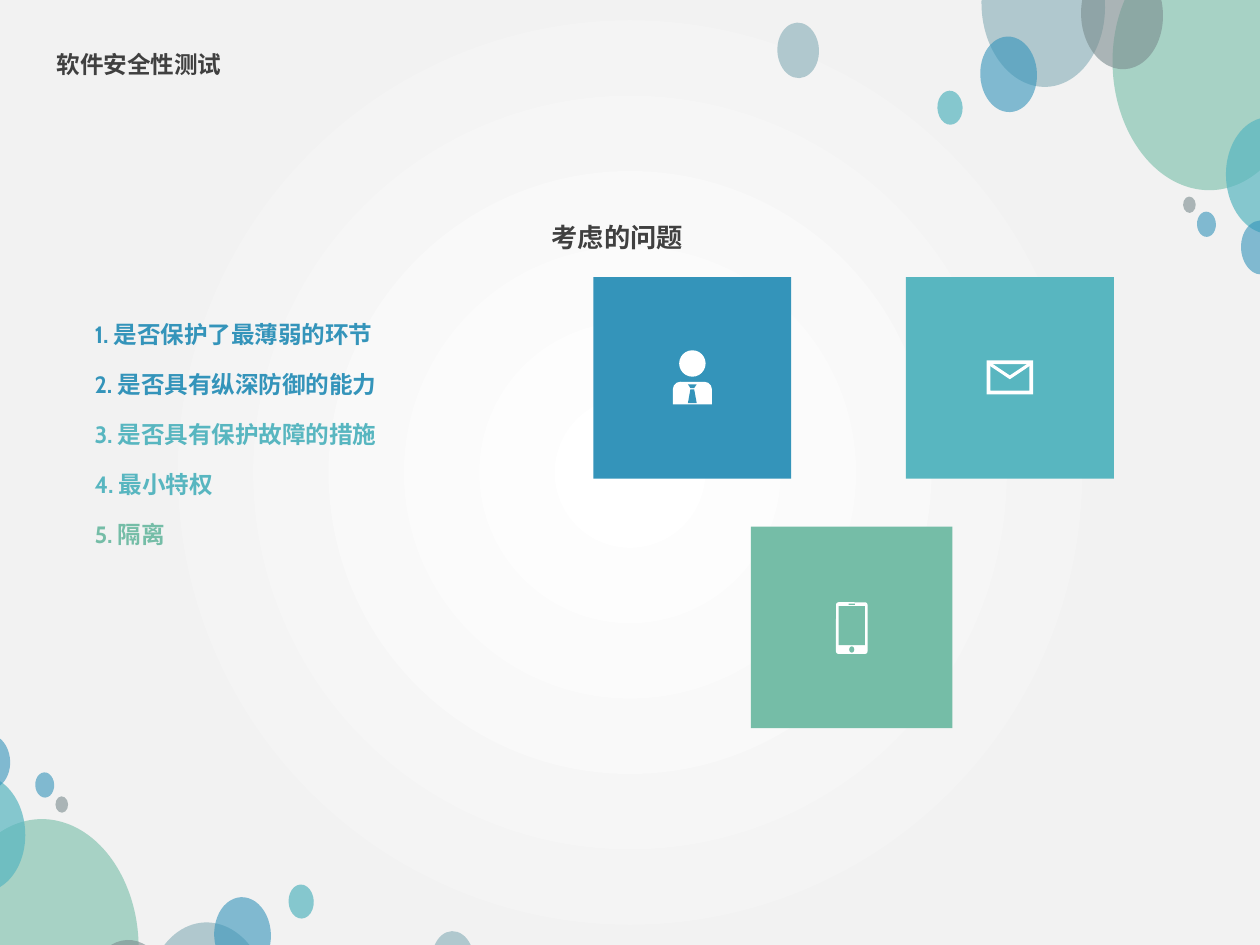
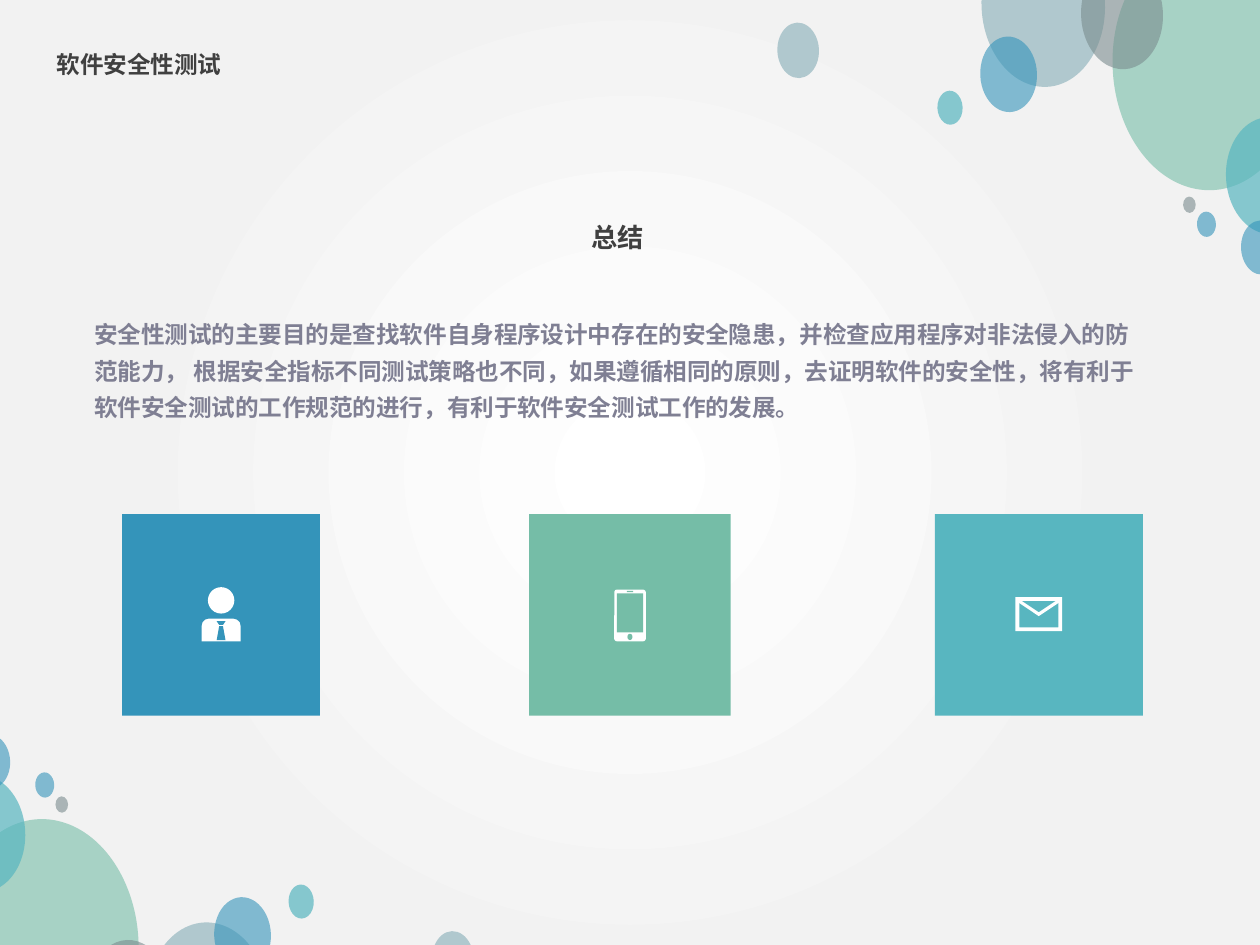
import pptx
import pptx.util
import pptx.dml.color
import pptx.enum.shapes
import pptx.enum.text
import pptx.oxml
import pptx.oxml.ns
import lxml.etree

Inches, Pt = pptx.util.Inches, pptx.util.Pt
MSO = pptx.enum.shapes.MSO_SHAPE
ALIGN = pptx.enum.text.PP_ALIGN
qn = pptx.oxml.ns.qn

COLORS = {
    "blue": "3494BA", "teal": "58B6C0", "green": "75BDA7",
    "mist": "84ACB6", "gray": "7A8C8E", "slate": "7F7F93",
    "text": "404040", "white": "FFFFFF", "paper": "F2F2F2",
}


def paint(sp, color):
    sp.shadow.inherit = False
    sp.fill.solid()
    sp.fill.fore_color.rgb = pptx.dml.color.RGBColor.from_string(COLORS[color])
    sp.line.fill.background()


def write(sp, box, lines, size, align=ALIGN.LEFT):
    """Place a text shape and fill it with (text, color) paragraphs."""
    sp.left, sp.top, sp.width, sp.height = [Inches(v) for v in box]
    tf = sp.text_frame
    tf.text = "\n".join(text for text, color in lines)
    tf.word_wrap = True
    tf.auto_size = pptx.enum.text.MSO_AUTO_SIZE.NONE
    tf.vertical_anchor = pptx.enum.text.MSO_ANCHOR.TOP
    tf.margin_left = tf.margin_right = Inches(0.09)
    tf.margin_top = tf.margin_bottom = Inches(0.05)
    for i, (p, (text, color)) in enumerate(zip(tf.paragraphs, lines)):
        pPr = p._p.get_or_add_pPr()
        pPr.set("marL", "0")
        pPr.set("indent", "0")
        lxml.etree.SubElement(pPr, qn("a:buNone"))
        p.alignment = align
        p.line_spacing = 1.3
        p.space_before = Pt(7.5 if i else 0)
        for r in p.runs:
            r.font.name = "Cabin"
            r.font.size = Pt(size)
            r.font.bold = True
            r.font.color.rgb = pptx.dml.color.RGBColor.from_string(COLORS[color])


prs = pptx.Presentation()
prs.slide_width, prs.slide_height = Inches(10), Inches(7.5)
master = prs.slide_master
layout = prs.slide_layouts[1]

# Shared background: radial gradient from the centre
fill = master.background.fill
fill.gradient()
grad = fill._fill._gradFill
for child in list(grad):
    grad.remove(child)
stops = lxml.etree.SubElement(grad, qn("a:gsLst"))
for pos, color in [(0, "white"), (67, "paper"), (100, "paper")]:
    gs = lxml.etree.SubElement(stops, qn("a:gs"), pos=str(pos * 1000))
    lxml.etree.SubElement(gs, qn("a:srgbClr"), val=COLORS[color])
radial = lxml.etree.SubElement(grad, qn("a:path"), path="circle")
lxml.etree.SubElement(radial, qn("a:fillToRect"), l="50000", t="50000", r="50000", b="50000")

# Bubbles of the top right corner: left, top, width, height, color, opacity
BUBBLES = [
    (7.79, -0.61, 0.98, 1.3, "mist", 60),
    (8.83, -0.49, 1.5, 2, "green", 60),
    (8.58, -0.32, 0.65, 0.87, "gray", 60),
    (7.78, 0.29, 0.45, 0.6, "blue", 60),
    (9.73, 0.93, 0.7, 0.93, "teal", 70),
    (7.44, 0.72, 0.2, 0.27, "teal", 70),
    (9.85, 1.75, 0.32, 0.43, "blue", 60),
    (9.5, 1.68, 0.15, 0.2, "blue", 60),
    (9.39, 1.56, 0.1, 0.13, "gray", 60),
    (6.17, 0.18, 0.33, 0.44, "mist", 60),
]
# Tiles: color and width
TILES = {"person": ("blue", 1.57), "mail": ("teal", 1.65), "phone": ("green", 1.6)}
TILE_H = 1.6

# Icon parts, measured from the tile centre: shape, box, color, corner
PRESETS = {
    "person": [
        (MSO.OVAL, (-0.105, -0.22, 0.21, 0.21), "white", None),
        (MSO.ROUND_2_SAME_RECTANGLE, (-0.155, 0.03, 0.31, 0.18), "white", 0.33),
    ],
    "mail": [],
    "phone": [
        (MSO.ROUNDED_RECTANGLE, (-0.125, -0.2, 0.25, 0.41), "white", 0.08),
        (MSO.RECTANGLE, (-0.105, -0.17, 0.21, 0.31), "green", None),
        (MSO.RECTANGLE, (-0.025, -0.19, 0.05, 0.01), "green", None),
        (MSO.OVAL, (-0.02, 0.15, 0.04, 0.05), "green", None),
    ],
}
# Icon outlines, measured from the tile centre: color, contours
OUTLINES = {
    "person": [("blue", [
        [(-0.035, 0.05), (0.035, 0.05), (0.015, 0.08), (-0.015, 0.08)],
        [(-0.015, 0.09), (0.015, 0.09), (0.035, 0.2), (-0.035, 0.2)],
    ])],
    "mail": [
        ("white", [
            [(-0.185, -0.14), (0.185, -0.14), (0.185, 0.13), (-0.185, 0.13)],
            [(-0.155, -0.11), (-0.155, 0.1), (0.155, 0.1), (0.155, -0.11)],
        ]),
        ("white", [[(0, 0.01), (-0.18, -0.11), (-0.165, -0.13), (0, -0.02),
                    (0.165, -0.13), (0.18, -0.11)]]),
    ],
    "phone": [],
}

# Slides: heading, body box, body paragraphs, tile positions
SLIDES = [
    ("考虑的问题", (0.66, 2.42, 2.49, 1.19), [
        ("1. 是否保护了最薄弱的环节", "blue"),
        ("2. 是否具有纵深防御的能力", "blue"),
        ("3. 是否具有保护故障的措施", "teal"),
        ("4. 最小特权", "teal"),
        ("5. 隔离", "green"),
    ], {"person": (4.71, 2.2), "mail": (7.19, 2.2), "phone": (5.96, 4.18)}),
    ("总结", (0.66, 2.42, 8.5, 1.29), [
        ("安全性测试的主要目的是查找软件自身程序设计中存在的安全隐患，"
         "并检查应用程序对非法侵入的防范能力， 根据安全指标不同测试策略也不同，"
         "如果遵循相同的原则，去证明软件的安全性，"
         "将有利于软件安全测试的工作规范的进行，有利于软件安全测试工作的发展。", "slate"),
    ], {"person": (0.97, 4.08), "mail": (7.42, 4.08), "phone": (4.2, 4.08)}),
]

slides = [prs.slides.add_slide(layout) for _ in SLIDES]

# Bubbles go to the master; the bottom left ones are the same set turned half round
shape_id = 100
for turned in (False, True):
    for x, y, w, h, color, opacity in BUBBLES:
        if turned:
            x, y = 9.93 - x - w, 8.01 - y - h
        sp = slides[0].shapes.add_shape(MSO.OVAL, Inches(x), Inches(y), Inches(w), Inches(h))
        paint(sp, color)
        sp.rotation = 177.7 if turned else 357.7
        clr = sp._element.spPr.find(qn("a:solidFill"))[0]
        lxml.etree.SubElement(clr, qn("a:alpha"), val=str(opacity * 1000))
        sp._element.nvSpPr.cNvPr.set("id", str(shape_id))
        shape_id += 1
        master.shapes._spTree.append(sp._element)

for slide, (heading, body_box, body, tiles) in zip(slides, SLIDES):
    # Title, heading and body text
    write(slide.shapes.title, (0.36, 0.28, 2.79, 0.44), [("软件安全性测试", "text")], 13.5)
    sp = slide.shapes.add_textbox(0, 0, 0, 0)
    write(sp, (3.15, 1.63, 3.5, 0.48), [(heading, "text")], 15, ALIGN.CENTER)
    write(slide.placeholders[1], body_box, body, 13.5)

    # Icon tiles
    for icon, (x, y) in tiles.items():
        color, w = TILES[icon]
        cx, cy = x + w / 2, y + TILE_H / 2
        group = slide.shapes.add_group_shape()
        tile = (MSO.RECTANGLE, (-w / 2, -TILE_H / 2, w, TILE_H), color, None)
        for kind, (dx, dy, pw, ph), part_color, corner in [tile] + PRESETS[icon]:
            sp = group.shapes.add_shape(kind, Inches(cx + dx), Inches(cy + dy),
                                        Inches(pw), Inches(ph))
            paint(sp, part_color)
            if corner:
                sp.adjustments[0] = corner
        for part_color, contours in OUTLINES[icon]:
            fb = None
            for contour in contours:
                pts = [(Inches(cx + dx), Inches(cy + dy)) for dx, dy in contour]
                if fb is None:
                    fb = group.shapes.build_freeform(*pts[0])
                else:
                    fb.move_to(*pts[0])
                fb.add_line_segments(pts[1:], close=True)
            paint(fb.convert_to_shape(), part_color)

prs.save("out.pptx")
